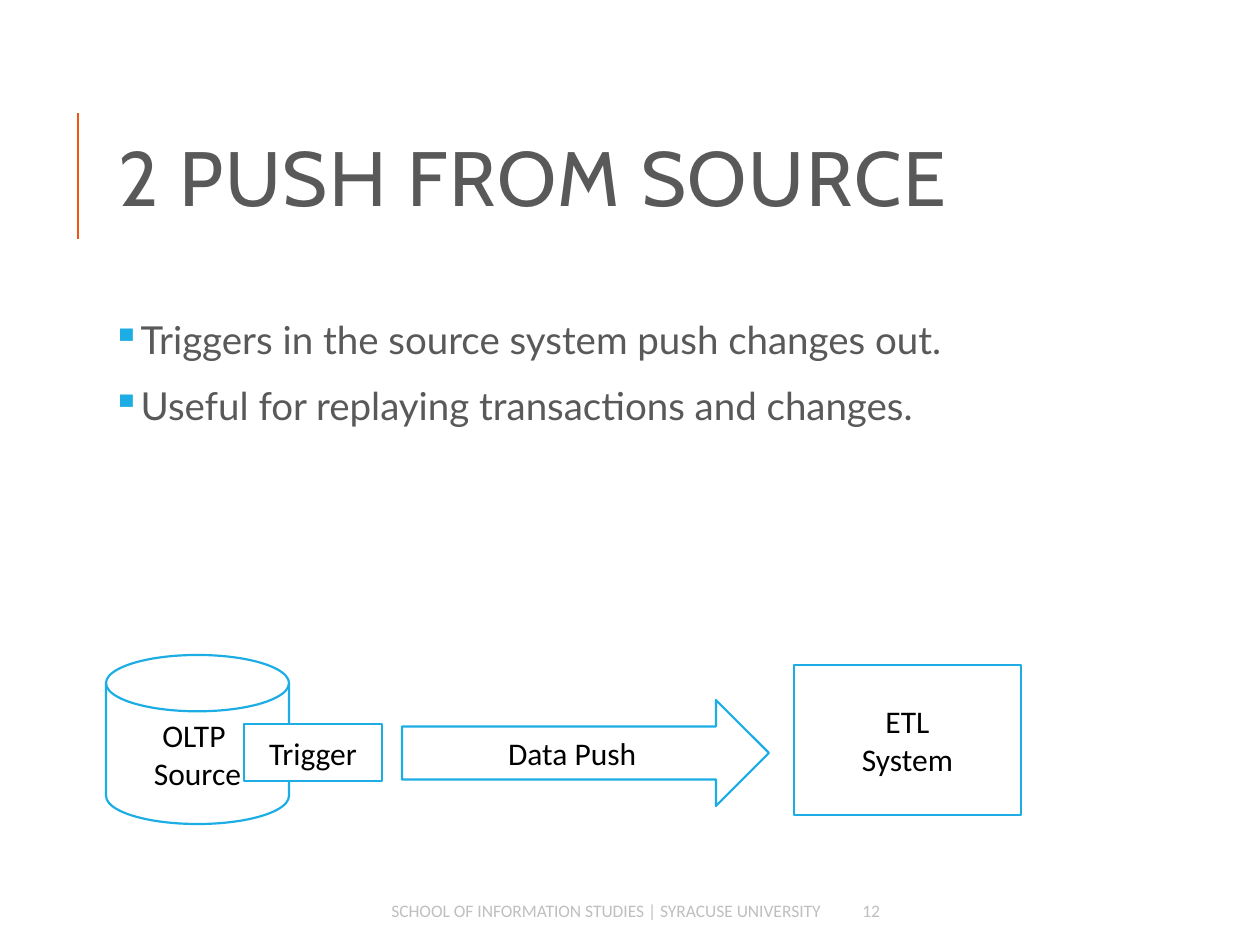
from dataclasses import dataclass

from lxml import etree
from pptx import Presentation
from pptx.dml.color import RGBColor
from pptx.enum.shapes import MSO_CONNECTOR, MSO_SHAPE
from pptx.enum.text import MSO_ANCHOR, PP_ALIGN
from pptx.oxml.ns import qn
from pptx.util import Pt

EMU_PER_PX = 914400 / 126
MIDDLE, TOP = MSO_ANCHOR.MIDDLE, MSO_ANCHOR.TOP
LEFT, CENTER, RIGHT = PP_ALIGN.LEFT, PP_ALIGN.CENTER, PP_ALIGN.RIGHT
DISK = MSO_SHAPE.FLOWCHART_MAGNETIC_DISK
ARROW = MSO_SHAPE.RIGHT_ARROW
RECT = MSO_SHAPE.RECTANGLE
STRAIGHT = MSO_CONNECTOR.STRAIGHT

COLORS = {
    "paper": "FFFFFF",
    "accent": "EE5612",
    "outline": "1CADE4",
    "heading": "595959",
    "footer": "BFBFBF",
    "label": "000000",
}


@dataclass(frozen=True)
class Box:
    left: int
    top: int
    width: int
    height: int


@dataclass(frozen=True)
class TextStyle:
    font: str
    size: int
    color: str
    align: PP_ALIGN = LEFT
    anchor: MSO_ANCHOR = MIDDLE


@dataclass(frozen=True)
class Stage:
    kind: MSO_SHAPE
    box: Box
    lines: tuple[str, ...]


TITLE = TextStyle("Cabin", 44, "heading")
BODY = TextStyle("Lato", 22, "heading", anchor=TOP)
FOOTER = TextStyle("Calibri", 10, "footer", align=RIGHT)
PAGE_NUMBER = TextStyle("Calibri", 10, "footer")
LABEL = TextStyle("Calibri", 18, "label", align=CENTER)

STAGES = (
    Stage(DISK, Box(106, 655, 183, 169), ("OLTP \vSource",)),
    Stage(ARROW, Box(402, 700, 367, 106), ("Data Push",)),
    Stage(RECT, Box(794, 665, 227, 150), ("ETL", "System")),
    Stage(RECT, Box(244, 724, 138, 57), ("Trigger",)),
)
POINTS = (
    "Triggers in the source system push changes out.",
    "Useful for replaying transactions and changes.",
)


def px(length: int) -> int:
    return round(length * EMU_PER_PX)


def place(box: Box) -> tuple[int, ...]:
    return tuple(px(n) for n in (box.left, box.top, box.width, box.height))


def rgb(name: str) -> RGBColor:
    return RGBColor.from_string(COLORS[name])


def write(frame, lines: tuple[str, ...], style: TextStyle) -> None:
    frame.word_wrap = True
    frame.vertical_anchor = style.anchor
    frame.text = "\n".join(lines)
    for paragraph in frame.paragraphs:
        paragraph.alignment = style.align
        if style is BODY:
            add_bullet(paragraph)
        paragraph.font.name = style.font
        paragraph.font.size = Pt(style.size)
        paragraph.font.color.rgb = rgb(style.color)


def add_bullet(paragraph) -> None:
    properties = paragraph._p.get_or_add_pPr()
    properties.set("marL", str(px(12)))
    properties.set("indent", str(-px(12)))
    bullet_color = etree.SubElement(properties, qn("a:buClr"))
    etree.SubElement(bullet_color, qn("a:srgbClr"), val=COLORS["outline"])
    etree.SubElement(properties, qn("a:buChar"), char="▪")


def add_text(slide, box: Box, lines: tuple[str, ...], style: TextStyle):
    frame = slide.shapes.add_textbox(*place(box)).text_frame
    write(frame, lines, style)
    return frame


def add_stage(slide, stage: Stage) -> None:
    shape = slide.shapes.add_shape(stage.kind, *place(stage.box))
    shape.shadow.inherit = False
    shape.fill.solid()
    shape.fill.fore_color.rgb = rgb("paper")
    shape.line.color.rgb = rgb("outline")
    shape.line.width = Pt(1.25)
    write(shape.text_frame, stage.lines, LABEL)


def add_title(slide) -> None:
    rule = slide.shapes.add_connector(STRAIGHT, px(78), px(239), px(78), px(113))
    rule.line.color.rgb = rgb("accent")
    rule.line.width = Pt(1.5)
    etree.SubElement(rule._element.spPr, qn("a:effectLst"))

    frame = add_text(slide, Box(106, 81, 1004, 207), ("2 PUSH FROM SOURCE",), TITLE)
    heading = frame.paragraphs[0]
    heading.line_spacing = 0.8
    heading.runs[0]._r.get_or_add_rPr().set("spc", "100")


def add_body(slide) -> None:
    frame = add_text(slide, Box(106, 315, 1004, 229), POINTS, BODY)
    frame.margin_left = frame.margin_right = px(6)
    for position, point in enumerate(frame.paragraphs):
        point.line_spacing = 0.9
        point.space_before = Pt(12 if position else 0)
        point.space_after = Pt(2)


def main() -> None:
    deck = Presentation()
    deck.slide_width, deck.slide_height = px(1260), px(945)
    slide = deck.slides.add_slide(deck.slide_layouts[6])
    slide.background.fill.solid()
    slide.background.fill.fore_color.rgb = rgb("paper")

    add_title(slide)
    add_body(slide)
    add_text(
        slide,
        Box(238, 892, 595, 38),
        ("SCHOOL OF INFORMATION STUDIES | SYRACUSE UNIVERSITY",),
        FOOTER,
    )
    add_text(slide, Box(850, 892, 115, 38), ("12",), PAGE_NUMBER)
    for stage in STAGES:
        add_stage(slide, stage)
    deck.save("out.pptx")


if __name__ == "__main__":
    main()
